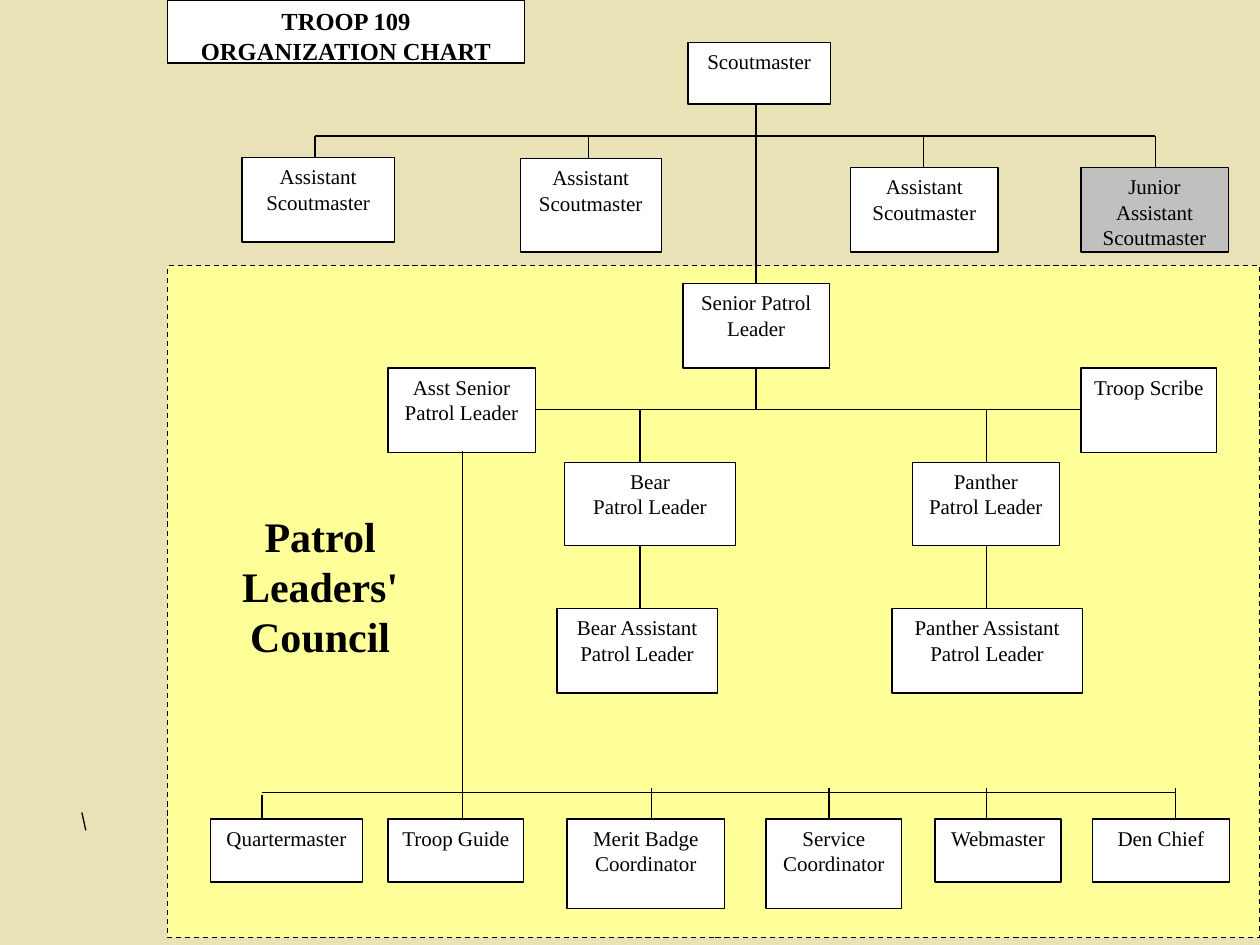
"""Build the Troop 109 organization chart slide."""
from itertools import pairwise
from typing import NamedTuple

from lxml import etree
from pptx import Presentation
from pptx import util as u
from pptx.dml.color import RGBColor
from pptx.enum import dml, shapes, text
from pptx.oxml import ns

SAND = RGBColor(0xE9, 0xE2, 0xB6)
YELLOW = RGBColor(0xFF, 0xFF, 0x99)
WHITE = RGBColor(0xFF, 0xFF, 0xFF)
GRAY = RGBColor(0xC0, 0xC0, 0xC0)
BLACK = RGBColor(0, 0, 0)
FONT = "Times New Roman"
LINE_WIDTH = u.Pt(0.75)


class Box(NamedTuple):
    label: str
    left: float
    top: float
    width: float
    height: float = 1.7
    fill: RGBColor = WHITE
    size: int = 12
    bold: bool = False


class Line(NamedTuple):
    x1: float
    y1: float
    x2: float
    y2: float


COUNCIL_AREA = Box("", 3.38, 5.36, 22.02, 13.54, YELLOW)
COUNCIL_TITLE = Box("Patrol Leaders' Council", 4.45, 10.16, 4.01, 3.3, size=24, bold=True)

LEADERS = [
    Box("Scoutmaster", 13.87, 0.86, 2.87, 1.24),
    Box("TROOP 109\nORGANIZATION CHART", 3.38, 0, 7.19, 1.27, size=14, bold=True),
    Box("Assistant Scoutmaster", 10.49, 3.2, 2.84, 1.88),
    Box("Assistant Scoutmaster", 4.88, 3.18, 3.07),
    Box("Assistant Scoutmaster", 17.15, 3.38, 2.97),
    Box("Junior\nAssistant Scoutmaster", 21.79, 3.38, 2.97, fill=GRAY),
    Box("Senior Patrol\nLeader", 13.77, 5.72, 2.95),
    Box("Asst Senior Patrol Leader", 7.82, 7.42, 2.97),
    Box("Troop Scribe", 21.79, 7.42, 2.74),
    Box("Bear\nPatrol Leader", 11.38, 9.32, 3.45, 1.68),
    Box("Panther\nPatrol Leader", 18.39, 9.32, 2.97, 1.68),
    Box("Panther Assistant Patrol Leader", 17.98, 12.27, 3.84),
    Box("Bear Assistant Patrol Leader", 11.23, 12.27, 3.23),
]

STAFF_TOP = 16.51
STAFF = [
    Box("Quartermaster", 4.24, STAFF_TOP, 3.07, 1.27),
    Box("Troop Guide", 7.82, STAFF_TOP, 2.74, 1.27),
    Box("Merit Badge Coordinator", 11.43, STAFF_TOP, 3.18, 1.8),
    Box("Service Coordinator", 15.44, STAFF_TOP, 2.74, 1.8),
    Box("Webmaster", 18.85, STAFF_TOP, 2.54, 1.27),
    Box("Den Chief", 22.02, STAFF_TOP, 2.77, 1.27),
]

ADULT_BUS, PATROL_BUS, STAFF_BUS = 2.74, 8.26, 15.98
CENTER, GUIDE, BEAR, PANTHER = 15.24, 9.32, 12.9, 19.89

LINES = [
    Line(1.65, 16.38, 1.73, 16.74),
    Line(6.35, ADULT_BUS, 23.29, ADULT_BUS),
    Line(CENTER, 2.11, CENTER, 5.72),
    Line(CENTER, 7.42, CENTER, PATROL_BUS),
    Line(GUIDE, 9.09, GUIDE, 16.08),
    Line(GUIDE, 16.08, GUIDE, STAFF_TOP),
    Line(5.28, STAFF_BUS, 23.7, STAFF_BUS),
    Line(5.28, 16.03, 5.28, STAFF_TOP),
    *(Line(x, ADULT_BUS, x, bottom)
      for x, bottom in [(6.35, 3.18), (11.86, 3.18), (18.62, 3.38), (23.29, 3.38)]),
    *(Line(start, PATROL_BUS, end, PATROL_BUS)
      for start, end in pairwise([10.8, BEAR, PANTHER, 21.79])),
    *(Line(x, top, x, bottom)
      for x in (BEAR, PANTHER)
      for top, bottom in [(PATROL_BUS, 9.32), (11, 12.27)]),
    *(Line(x, 15.88, x, STAFF_TOP) for x in (13.13, 16.71, PANTHER, 23.7)),
]


def write_label(shape, box: Box) -> None:
    """Put the centred label of a box into its shape."""
    frame = shape.text_frame
    frame.word_wrap = True
    frame.vertical_anchor = text.MSO_ANCHOR.TOP
    frame.text = box.label
    for paragraph in frame.paragraphs:
        paragraph.alignment = text.PP_ALIGN.CENTER
        for run in paragraph.runs:
            run.font.name = FONT
            run.font.size = u.Pt(box.size)
            run.font.bold = box.bold
            run.font.color.rgb = BLACK


def place(box: Box) -> list[u.Length]:
    """Return the left, top, width and height of a box."""
    return [u.Cm(value) for value in (box.left, box.top, box.width, box.height)]


def draw_box(slide, box: Box):
    """Draw an outlined rectangle with its label."""
    shape = slide.shapes.add_shape(shapes.MSO_SHAPE.RECTANGLE, *place(box))
    shape.shadow.inherit = False
    shape.fill.solid()
    shape.fill.fore_color.rgb = box.fill
    shape.line.color.rgb = BLACK
    shape.line.width = LINE_WIDTH
    if box.label:
        write_label(shape, box)
    return shape


def draw_line(slide, line: Line) -> None:
    """Draw a thin straight line without a shadow."""
    connector = slide.shapes.add_connector(
        shapes.MSO_CONNECTOR.STRAIGHT, *(u.Cm(value) for value in line))
    connector.line.color.rgb = BLACK
    connector.line.width = LINE_WIDTH
    etree.SubElement(connector.element.spPr, ns.qn("a:effectLst"))


def main() -> None:
    """Build and save the presentation."""
    presentation = Presentation()
    presentation.slide_width, presentation.slide_height = u.Cm(25.4), u.Cm(19.05)
    slide = presentation.slides.add_slide(presentation.slide_layouts[6])
    slide.background.fill.solid()
    slide.background.fill.fore_color.rgb = SAND

    council = draw_box(slide, COUNCIL_AREA)
    council.line.dash_style = dml.MSO_LINE.DASH
    for box in LEADERS + STAFF:
        draw_box(slide, box)
    write_label(slide.shapes.add_textbox(*place(COUNCIL_TITLE)), COUNCIL_TITLE)
    for line in LINES:
        draw_line(slide, line)
    presentation.save("out.pptx")


if __name__ == "__main__":
    main()
